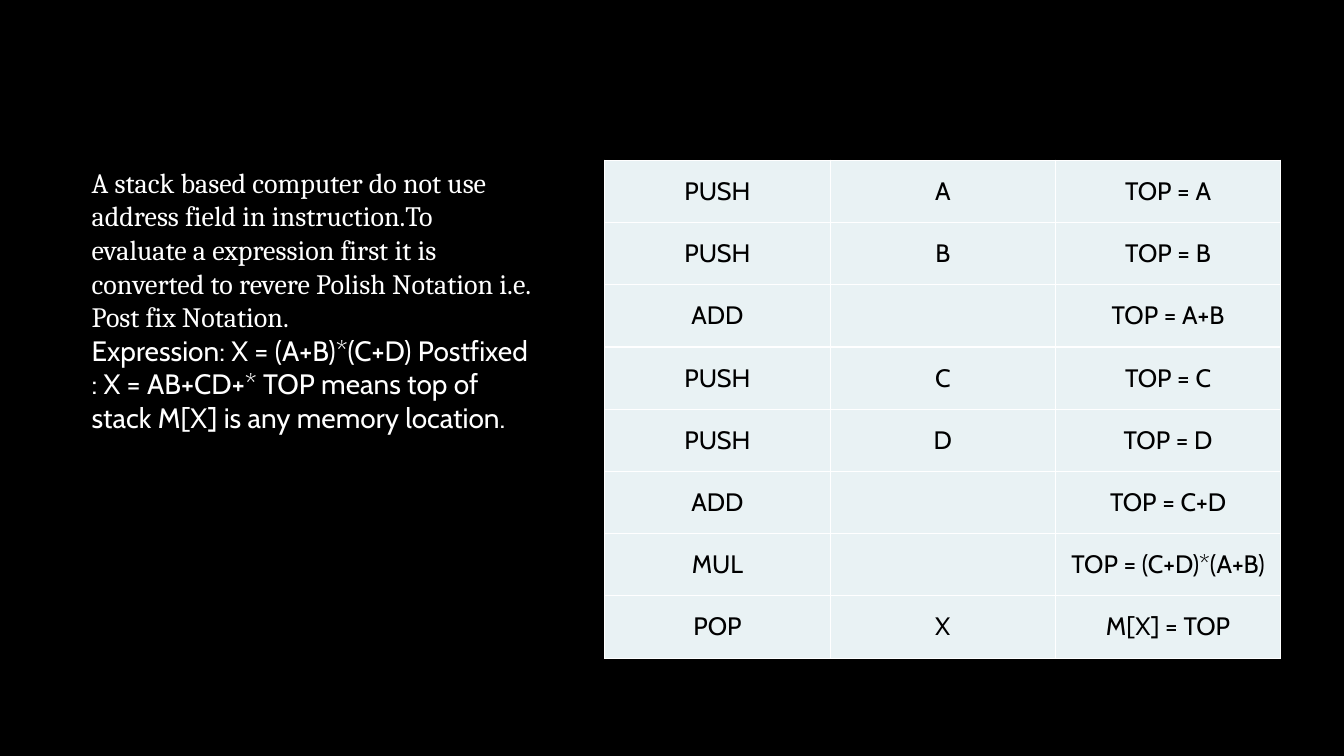
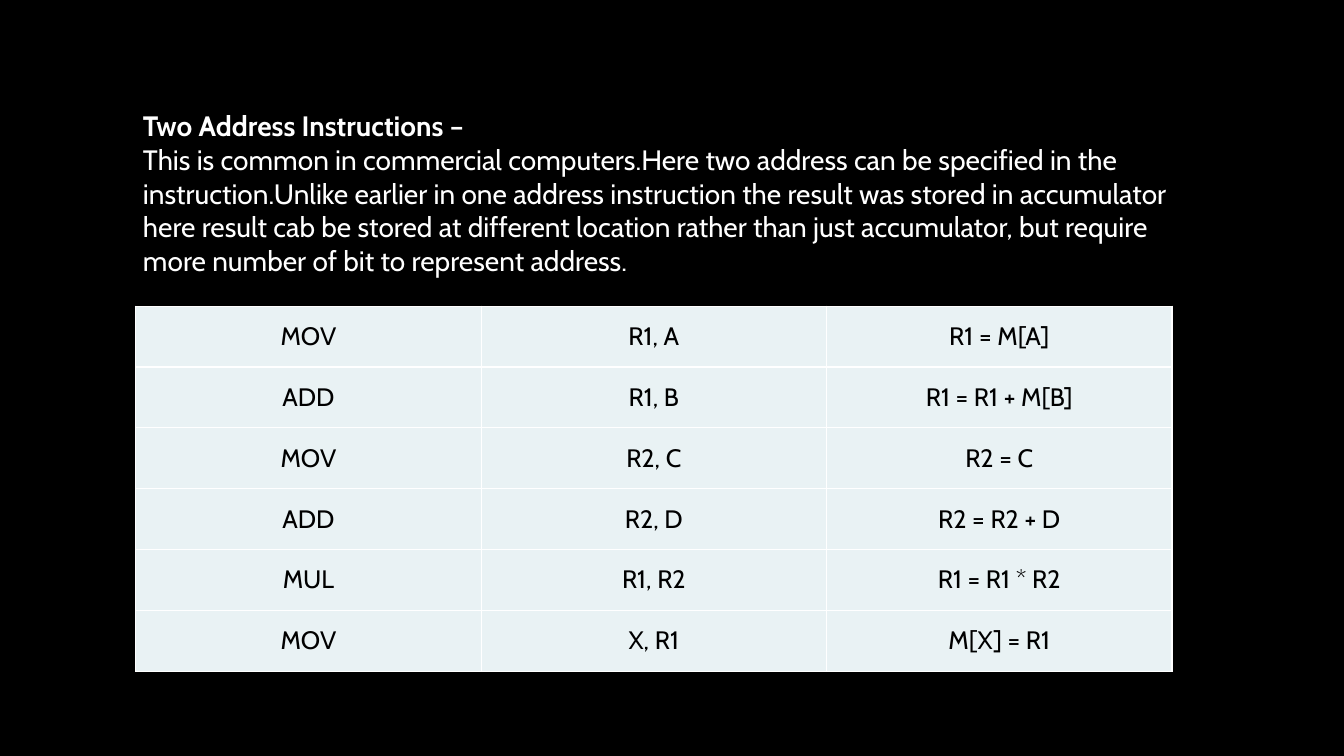
"""Build two slides on stack and two address instructions."""
from dataclasses import dataclass

from lxml.etree import SubElement as Sub
from pptx import Presentation
from pptx.dml.color import RGBColor as RGB
from pptx.enum.text import MSO_ANCHOR as Anchor, MSO_AUTO_SIZE as AutoSize, PP_ALIGN as Align
from pptx.oxml.ns import qn
from pptx.util import Inches, Pt

COLORS = {"back": "000000", "text": "FFFFFF", "cell": "E9F2F4", "ink": "000000", "rule": "FFFFFF"}
SANS, SERIF = "Cabin", "Cambria"
BODY_SIZE, CELL_SIZE, RULE_WIDTH = 20, 18, 1


@dataclass(frozen=True)
class Box:
    """A frame in percent of the slide's width and height."""
    left: float
    top: float
    width: float
    height: float

    def emu(self) -> tuple[int, int, int, int]:
        w, h = prs.slide_width, prs.slide_height
        return (int(w * self.left / 100), int(h * self.top / 100),
                int(w * self.width / 100), int(h * self.height / 100))


@dataclass(frozen=True)
class Span:
    """A stretch of text in one format."""
    text: str
    font: str = SANS
    bold: bool = False


@dataclass(frozen=True)
class Page:
    """A text of paragraphs made of lines, and a table of instructions."""
    text_box: Box
    paragraphs: list[list[Span]]
    table_box: Box
    rows: list[tuple[str, str, str]]


def add_run(p, text: str, *, size: float, color: str, font: str = SANS, bold: bool = False) -> None:
    r = p.add_run()
    r.text = text
    r.font.size, r.font.name, r.font.bold = Pt(size), font, bold
    r.font.color.rgb = RGB.from_string(COLORS[color])


def add_text(s, box: Box, paragraphs: list[list[Span]]) -> None:
    tf = s.shapes.add_textbox(*box.emu()).text_frame
    tf.word_wrap, tf.auto_size = True, AutoSize.SHAPE_TO_FIT_TEXT
    for i, lines in enumerate(paragraphs):
        p = tf.add_paragraph() if i else tf.paragraphs[0]
        for j, span in enumerate(lines):
            if j:
                p.add_line_break()
            add_run(p, span.text, size=BODY_SIZE, color="text", font=span.font, bold=span.bold)


def set_borders(cell) -> None:
    pr = cell._tc.get_or_add_tcPr()
    for i, side in enumerate(("lnL", "lnR", "lnT", "lnB")):
        ln = Sub(pr, qn(f"a:{side}"), w=str(Pt(RULE_WIDTH)))
        Sub(Sub(ln, qn("a:solidFill")), qn("a:srgbClr"), val=COLORS["rule"])
        pr.insert(i, ln)


def add_grid(s, box: Box, rows: list[tuple[str, str, str]]) -> None:
    left, top, width, height = box.emu()
    table = s.shapes.add_table(len(rows), len(rows[0]), left, top, width, height).table
    table.first_row = table.horz_banding = False
    for row, texts in zip(table.rows, rows):
        for cell, text in zip(row.cells, texts):
            cell.fill.solid()
            cell.fill.fore_color.rgb = RGB.from_string(COLORS["cell"])
            cell.vertical_anchor = Anchor.MIDDLE
            set_borders(cell)
            if text:
                p = cell.text_frame.paragraphs[0]
                p.alignment = Align.CENTER
                add_run(p, text, size=CELL_SIZE, color="ink")


def add_page(page: Page) -> None:
    s = prs.slides.add_slide(prs.slide_layouts[6])
    s.background.fill.solid()
    s.background.fill.fore_color.rgb = RGB.from_string(COLORS["back"])
    add_text(s, page.text_box, page.paragraphs)
    add_grid(s, page.table_box, page.rows)


PAGES = [
    Page(
        Box(6.08, 21.2, 34.13, 37.2),
        [[Span("A stack based computer do not use address field in instruction.To evaluate "
               "a expression first it is converted to revere Polish Notation i.e. "
               "Post fix Notation.", font=SERIF)],
         [Span("Expression: X = (A+B)*(C+D) Postfixed : X = AB+CD+* TOP means top of stack "
               "M[X] is any memory location.")]],
        Box(45, 21.2, 50.3, 65.87),
        [("PUSH", "A", "TOP = A"),
         ("PUSH", "B", "TOP = B"),
         ("ADD", "", "TOP = A+B"),
         ("PUSH", "C", "TOP = C"),
         ("PUSH", "D", "TOP = D"),
         ("ADD", "", "TOP = C+D"),
         ("MUL", "", "TOP = (C+D)*(A+B)"),
         ("POP", "X", "M[X] = TOP")],
    ),
    Page(
        Box(9.9, 13.73, 80.25, 23.73),
        [[Span("Two Address Instructions –", bold=True),
          Span("This is common in commercial computers.Here two address can be specified in the "
               "instruction.Unlike earlier in one address instruction the result was stored in "
               "accumulator here result cab be stored at different location rather than just "
               "accumulator, but require more number of bit to represent address.")]],
        Box(10.1, 40.5, 77.1, 48.3),
        [("MOV", "R1, A", "R1 = M[A]"),
         ("ADD", "R1, B", "R1 = R1 + M[B]"),
         ("MOV", "R2, C", "R2 = C"),
         ("ADD", "R2, D", "R2 = R2 + D"),
         ("MUL", "R1, R2", "R1 = R1 * R2"),
         ("MOV", "X, R1", "M[X] = R1")],
    ),
]

prs = Presentation()
prs.slide_width, prs.slide_height = Inches(13.33), Inches(7.5)
for page in PAGES:
    add_page(page)
prs.save("out.pptx")
